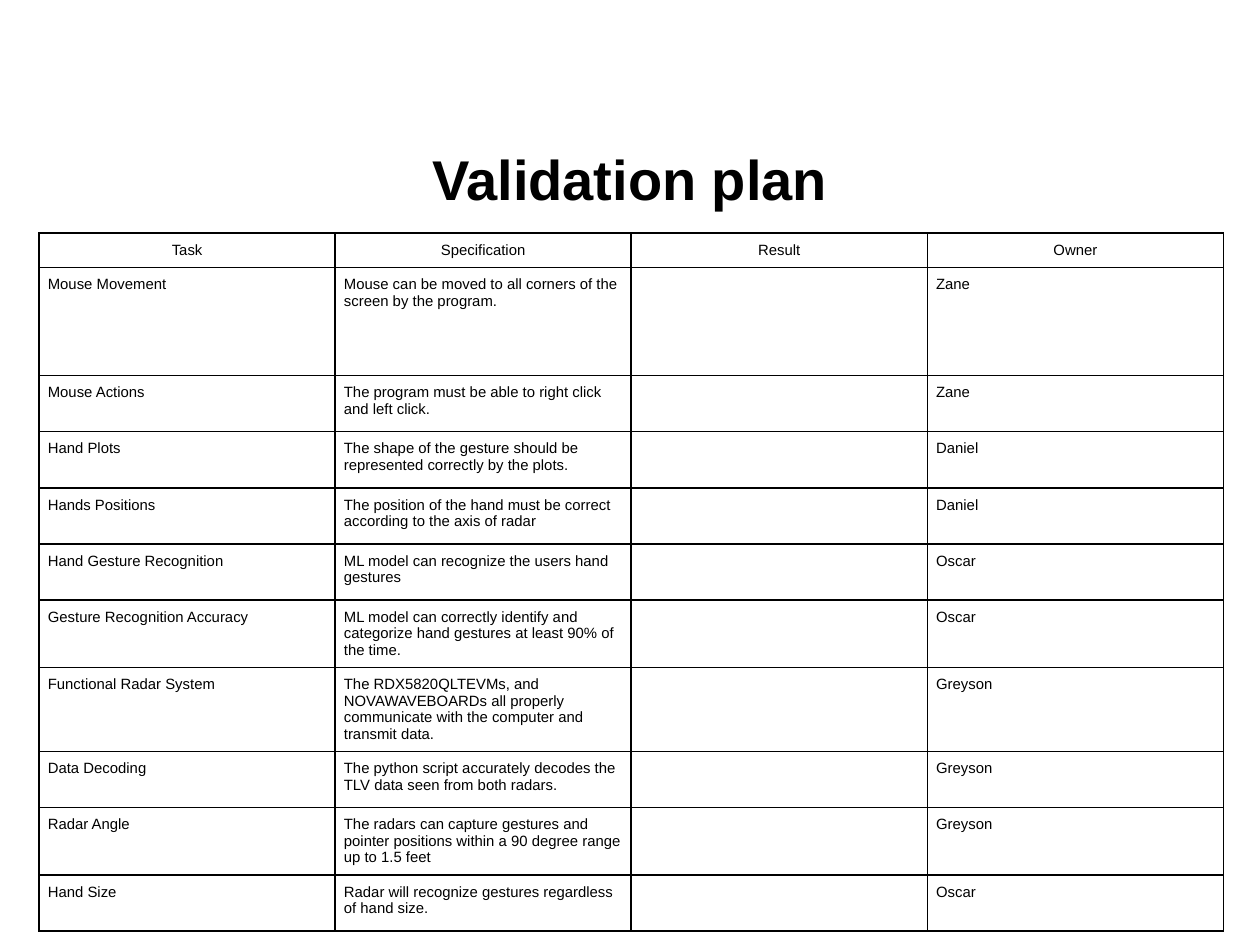
from lxml import etree
from pptx import Presentation
from pptx import util as u
from pptx.dml.color import RGBColor
from pptx.enum import text
from pptx.oxml.ns import qn

COLORS = {"ink": "000000", "paper": "FFFFFF"}
FONT = "Arial"
HEADERS = ["Task", "Specification", "Result", "Owner"]

# Task, specification, owner, row height in inches
TASKS = [
    ("Mouse Movement",
     "Mouse can be moved to all corners of the screen by the program.", "Zane", 0.86),
    ("Mouse Actions",
     "The program must be able to right click and left click.", "Zane", 0.42),
    ("Hand Plots",
     "The shape of the gesture should be represented correctly by the plots.", "Daniel", 0.42),
    ("Hands Positions",
     "The position of the hand must be correct according to the axis of radar", "Daniel", 0.42),
    ("Hand Gesture Recognition",
     "ML model can recognize the users hand gestures", "Oscar", 0.42),
    ("Gesture Recognition Accuracy",
     "ML model can correctly identify and categorize hand gestures at least 90% of the time.",
     "Oscar", 0.53),
    ("Functional Radar System",
     "The RDX5820QLTEVMs, and NOVAWAVEBOARDs all properly communicate with the computer "
     "and transmit data.", "Greyson", 0.66),
    ("Data Decoding",
     "The python script accurately decodes the TLV data seen from both radars.",
     "Greyson", 0.42),
    ("Radar Angle",
     "The radars can capture gestures and pointer positions within a 90 degree range "
     "up to 1.5 feet", "Greyson", 0.53),
    ("Hand Size",
     "Radar will recognize gestures regardless of hand size.", "Oscar", 0.42),
]


def write_text(frame, content, size=8.5, bold=False, align=text.PP_ALIGN.LEFT):
    paragraph = frame.paragraphs[0]
    paragraph.alignment = align
    if not content:
        return
    run = paragraph.add_run()
    run.text = content
    run.font.name = FONT
    run.font.size = u.Pt(size)
    run.font.bold = bold
    run.font.color.rgb = RGBColor.from_string(COLORS["ink"])


def add_borders(cell, width=1):
    properties = cell._tc.get_or_add_tcPr()
    for index, side in enumerate(("lnL", "lnR", "lnT", "lnB")):
        line = etree.Element(qn(f"a:{side}"), w=str(u.Pt(width)))
        fill = etree.SubElement(line, qn("a:solidFill"))
        etree.SubElement(fill, qn("a:srgbClr"), val=COLORS["ink"])
        properties.insert(index, line)  # borders come before the cell fill


def format_cell(cell, content, align):
    cell.fill.solid()
    cell.fill.fore_color.rgb = RGBColor.from_string(COLORS["paper"])
    cell.margin_left = cell.margin_right = u.Inches(0.07)
    cell.margin_top = cell.margin_bottom = u.Inches(0.07)
    write_text(cell.text_frame, content, align=align)
    add_borders(cell)


def add_title(slide, content):
    title = slide.shapes.title
    title.left, title.top = u.Inches(0.5), u.Inches(0.97)
    title.width, title.height = u.Inches(9), u.Inches(0.88)
    title.text_frame.vertical_anchor = text.MSO_ANCHOR.MIDDLE
    write_text(title.text_frame, content, size=32, bold=True, align=text.PP_ALIGN.CENTER)


def add_plan_table(slide):
    rows = [HEADERS] + [(task, detail, "", owner) for task, detail, owner, _ in TASKS]
    heights = [0.27] + [task[-1] for task in TASKS]
    column_width = 2.35
    table = slide.shapes.add_table(
        len(rows), len(HEADERS), u.Inches(0.31), u.Inches(1.85),
        u.Inches(column_width * len(HEADERS)), u.Inches(sum(heights))).table
    table.first_row = table.horz_banding = False
    for column in table.columns:
        column.width = u.Inches(column_width)
    for row_index, (values, height) in enumerate(zip(rows, heights)):
        table.rows[row_index].height = u.Inches(height)
        align = text.PP_ALIGN.LEFT if row_index else text.PP_ALIGN.CENTER
        for column_index, value in enumerate(values):
            format_cell(table.cell(row_index, column_index), value, align)


def main():
    presentation = Presentation()
    presentation.slide_width, presentation.slide_height = u.Inches(10), u.Inches(7.5)
    slide = presentation.slides.add_slide(presentation.slide_layouts[5])

    # Heading
    add_title(slide, "Validation plan")
    # Tasks with their specifications and owners
    add_plan_table(slide)

    presentation.save("out.pptx")


if __name__ == "__main__":
    main()
